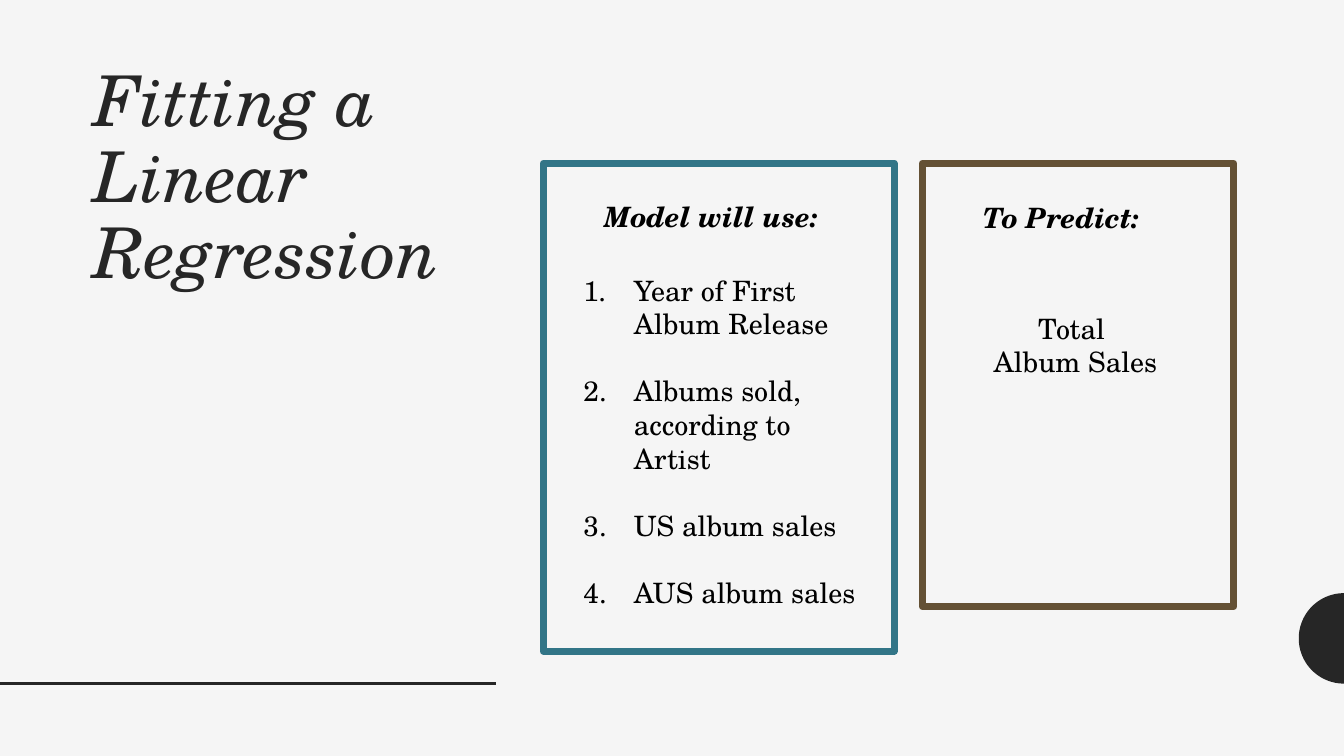
from dataclasses import dataclass
from math import cos, pi, sin

from lxml.etree import SubElement
from pptx import Presentation
from pptx.dml.color import RGBColor
from pptx.enum.shapes import MSO_CONNECTOR, MSO_SHAPE
from pptx.enum.text import MSO_ANCHOR, PP_ALIGN
from pptx.oxml.ns import qn
from pptx.slide import Slide
from pptx.util import Pt

COLORS = {
    "background": "F5F5F5",
    "dark": "262626",
    "text": "000000",
    "teal": "327587",
    "brown": "645135",
}
FONT = "TeX Gyre Schola"
SLIDE_WIDTH, SLIDE_HEIGHT = 960, 540
BASELINE = 488.3


@dataclass(frozen=True)
class Frame:
    left: float
    top: float
    width: float
    height: float
    color: str


@dataclass(frozen=True)
class TextBlock:
    left: float
    top: float
    width: float
    height: float
    lines: tuple[str, ...]
    size: float = 20
    color: str = "text"
    bold: bool = False
    italic: bool = False
    align: PP_ALIGN = PP_ALIGN.LEFT
    inset: float = 7.2
    line_spacing: float = 1.0
    space_after: float = 0
    numbered: bool = False


FRAMES = (
    Frame(388.1, 116.6, 250.6, 348.5, "teal"),
    Frame(658.8, 116.6, 222.5, 316.8, "brown"),
)

TEXTS = (
    TextBlock(59.8, 43.9, 301.7, 390.2, ("Fitting a Linear Regression",),
              size=50, color="dark", italic=True, line_spacing=0.9),
    TextBlock(373.7, 191.5, 247, 249.8,
              ("Year of First Album Release", "Albums sold, according to Artist",
               "US album sales", "AUS album sales"),
              space_after=24, numbered=True),
    TextBlock(702, 218.9, 132.5, 55.4, ("Total ", "Album Sales"), align=PP_ALIGN.CENTER),
    TextBlock(388.1, 139, 215, 31.7, ("Model will use:",), bold=True, italic=True, inset=43.2),
    TextBlock(658.8, 139.7, 180, 31.7, ("To Predict:",), bold=True, italic=True, inset=43.2),
)


def rgb(name: str) -> RGBColor:
    return RGBColor.from_string(COLORS[name])


def add_half_disc(slide: Slide, radius: float, steps: int = 48) -> None:
    center_y = BASELINE - radius
    points = []
    for step in range(steps + 1):
        angle = pi * step / steps
        x = SLIDE_WIDTH - radius * sin(angle)
        y = center_y - radius * cos(angle)
        points.append((Pt(x), Pt(y)))
    builder = slide.shapes.build_freeform(*points[0])
    builder.add_line_segments(points[1:], close=True)
    shape = builder.convert_to_shape()
    shape.shadow.inherit = False
    shape.fill.solid()
    shape.fill.fore_color.rgb = rgb("dark")
    shape.line.fill.background()


def add_rule(slide: Slide, length: float) -> None:
    connector = slide.shapes.add_connector(
        MSO_CONNECTOR.STRAIGHT, Pt(0), Pt(BASELINE), Pt(length), Pt(BASELINE))
    connector.line.color.rgb = rgb("dark")
    connector.line.width = Pt(2)
    SubElement(connector._element.spPr, qn("a:effectLst"))


def add_frame(slide: Slide, frame: Frame) -> None:
    shape = slide.shapes.add_shape(
        MSO_SHAPE.RECTANGLE, Pt(frame.left), Pt(frame.top), Pt(frame.width), Pt(frame.height))
    shape.shadow.inherit = False
    shape.fill.background()
    shape.line.color.rgb = rgb(frame.color)
    shape.line.width = Pt(5)


def add_text(slide: Slide, block: TextBlock) -> None:
    shape = slide.shapes.add_textbox(
        Pt(block.left), Pt(block.top), Pt(block.width), Pt(block.height))
    text_frame = shape.text_frame
    text_frame.word_wrap = True
    text_frame.vertical_anchor = MSO_ANCHOR.TOP
    text_frame.margin_left = Pt(block.inset)
    text_frame.text = "\n".join(block.lines)
    for paragraph in text_frame.paragraphs:
        paragraph.alignment = block.align
        paragraph.line_spacing = block.line_spacing
        paragraph.space_after = Pt(block.space_after)
        font = paragraph.font
        font.name = FONT
        font.size = Pt(block.size)
        font.bold = block.bold
        font.italic = block.italic
        font.color.rgb = rgb(block.color)
        if block.numbered:
            properties = paragraph._p.get_or_add_pPr()
            properties.set("marL", str(Pt(72)))
            properties.set("indent", str(Pt(-36)))
            number = properties.makeelement(qn("a:buAutoNum"), {"type": "arabicPeriod"})
            properties.find(qn("a:defRPr")).addprevious(number)


def main() -> None:
    presentation = Presentation()
    presentation.slide_width = Pt(SLIDE_WIDTH)
    presentation.slide_height = Pt(SLIDE_HEIGHT)
    slide = presentation.slides.add_slide(presentation.slide_layouts[6])
    slide.background.fill.solid()
    slide.background.fill.fore_color.rgb = rgb("background")
    add_half_disc(slide, 32.3)
    add_rule(slide, 354.2)
    for block in TEXTS:
        add_text(slide, block)
    for frame in FRAMES:
        add_frame(slide, frame)
    presentation.save("out.pptx")


if __name__ == "__main__":
    main()
